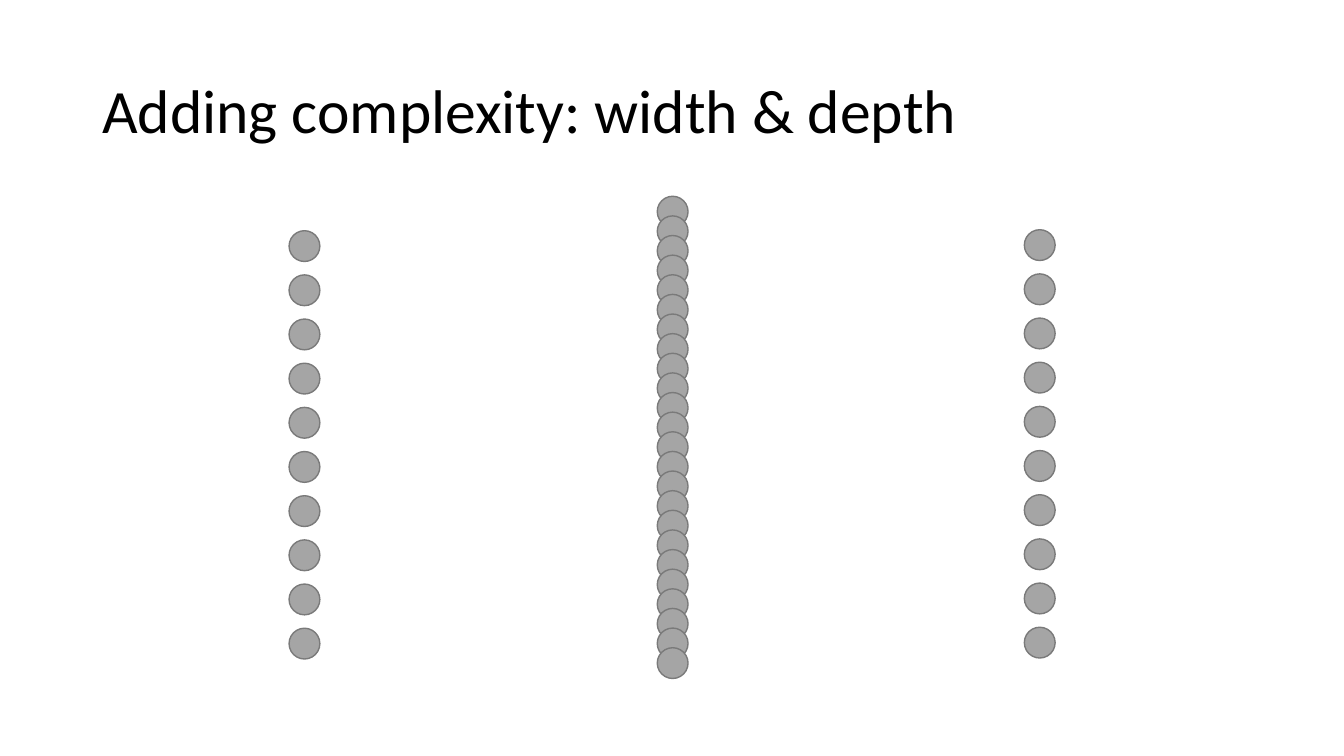
from pptx import Presentation
from pptx.dml.color import RGBColor
from pptx.enum.shapes import MSO_SHAPE
from pptx.enum.text import MSO_ANCHOR, PP_ALIGN
from pptx.util import Pt

COLORS = {"text": "000000", "neuron": "A5A5A5", "outline": "7A7A7A"}


class SlideBuilder:
    font_name = "Calibri"
    neuron_size = 22

    def __init__(self, slide):
        self.slide = slide

    def color(self, name):
        return RGBColor.from_string(COLORS[name])

    def title(self, text, left, top, width, height):
        shape = self.slide.shapes.add_textbox(Pt(left), Pt(top), Pt(width), Pt(height))
        frame = shape.text_frame
        frame.word_wrap = True
        frame.vertical_anchor = MSO_ANCHOR.MIDDLE
        paragraph = frame.paragraphs[0]
        paragraph.text = text
        paragraph.alignment = PP_ALIGN.LEFT
        paragraph.line_spacing = 0.9
        paragraph.font.name = self.font_name
        paragraph.font.size = Pt(44)
        paragraph.font.color.rgb = self.color("text")

    def neuron(self, left, top):
        size = Pt(self.neuron_size)
        shape = self.slide.shapes.add_shape(MSO_SHAPE.OVAL, Pt(left), Pt(top), size, size)
        shape.shadow.inherit = False
        shape.fill.solid()
        shape.fill.fore_color.rgb = self.color("neuron")
        shape.line.color.rgb = self.color("outline")
        shape.line.width = Pt(1)

    def layer(self, left, top, count, pitch):
        for index in range(count):
            self.neuron(left, top + index * pitch)


def main():
    presentation = Presentation()
    presentation.slide_width = Pt(960)
    presentation.slide_height = Pt(540)
    slide = presentation.slides.add_slide(presentation.slide_layouts[6])
    builder = SlideBuilder(slide)

    # Title
    builder.title("Adding complexity: width & depth", 66, 28.75, 828, 104.4)

    # Layers: wide hidden layer between the narrower outer ones
    builder.layer(469.5, 140.2, count=24, pitch=14.02)
    builder.layer(731.7, 164.1, count=10, pitch=31.55)
    builder.layer(206.5, 164.8, count=10, pitch=31.55)

    presentation.save("out.pptx")


if __name__ == "__main__":
    main()
